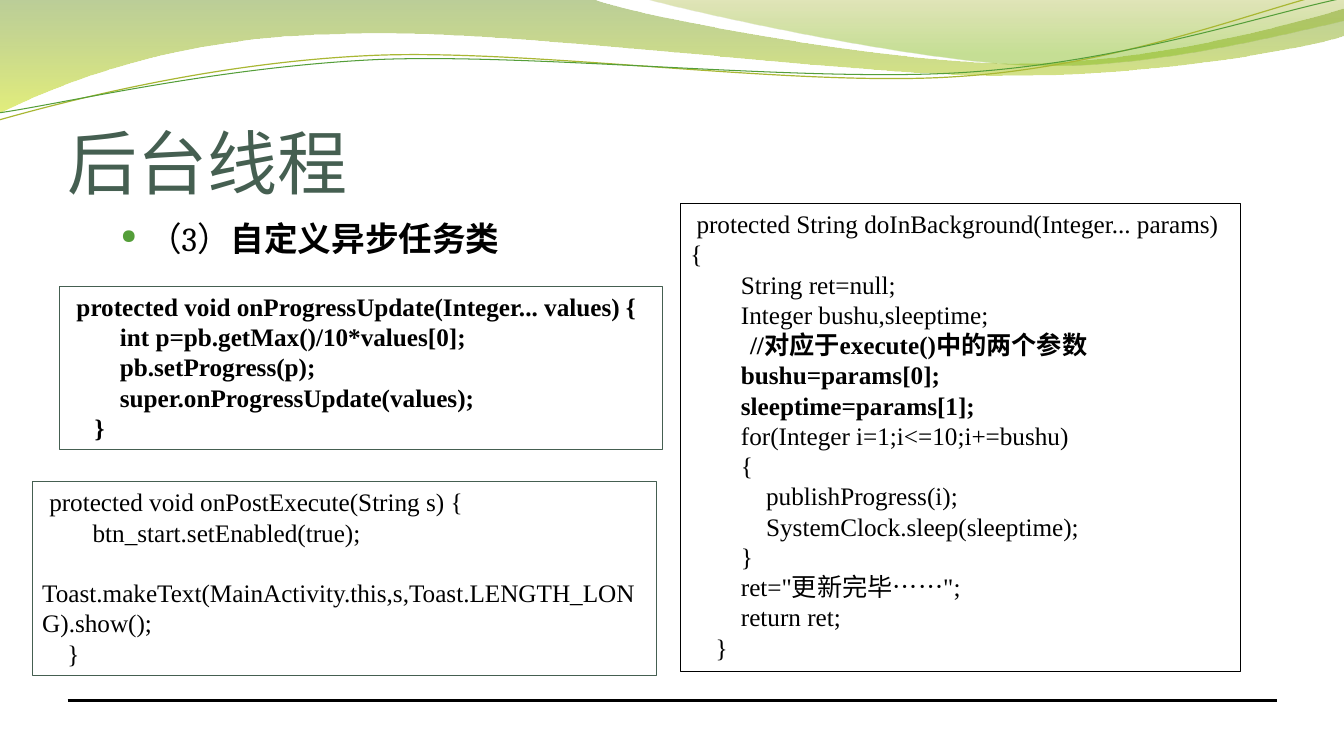
from dataclasses import dataclass

from lxml import etree
from pptx import Presentation
from pptx.dml.color import RGBColor
from pptx.enum.shapes import MSO_CONNECTOR, MSO_SHAPE
from pptx.enum.text import MSO_ANCHOR, PP_ALIGN
from pptx.oxml.ns import qn
from pptx.util import Inches, Pt

RECTANGLE = MSO_SHAPE.RECTANGLE
STRAIGHT = MSO_CONNECTOR.STRAIGHT
TOP, BOTTOM = MSO_ANCHOR.TOP, MSO_ANCHOR.BOTTOM
LEFT = PP_ALIGN.LEFT


@dataclass(frozen=True)
class Theme:
    ink: str = "000000"
    heading: str = "455F51"
    accent: str = "549E39"
    olive: str = "A9B733"
    # Gradient stops: position, colour, opacity in percent
    wide_wave: tuple = ((0, "69921C", 45), (1, "CCE10F", 55))
    narrow_wave: tuple = ((0, "9BAA1A", 30), (0.8, "81BA16", 45))
    title_font: str = "Quicksand"
    body_font: str = "Cambria"
    code_font: str = "Times New Roman"
    title_size: float = 50
    body_size: float = 24
    code_size: float = 18
    code_pitch: float = 21.6


# Outlines: a pair is a corner, six numbers are a cubic curve
WIDE_WAVE = [(0, 0), (5.87, -0.01),
             (6.34, 0.17, 8.84, 0.63, 10.11, 0.63),
             (11.37, 0.63, 12.77, 0.26, 13.33, 0.09), (13.34, 0.36),
             (13.11, 0.44, 11.59, 0.76, 9.94, 0.75),
             (8.29, 0.75, 5.09, 0.28, 3.43, 0.34),
             (1.72, 0.36, 0.61, 0.83, -0.02, 1.13), (0, 0)]
NARROW_WAVE = [(6.38, -0.01),
               (6.79, 0.11, 9.09, 0.62, 10.25, 0.65),
               (11.4, 0.69, 12.82, 0.32, 13.33, 0.21), (13.33, 0), (6.38, -0.01)]
OLIVE_STRAND = [(-0.01, 1.19),
                (0.63, 1.01, 2.1, 0.62, 3.69, 0.55),
                (5.27, 0.48, 7.89, 0.87, 9.49, 0.76),
                (11.1, 0.66, 12.51, 0.08, 13.3, -0.1)]
GREEN_STRAND = [(-0.01, 1.12),
                (0.62, 1.03, 2.18, 0.66, 3.77, 0.59),
                (5.37, 0.53, 7.96, 0.82, 9.55, 0.72),
                (11.14, 0.62, 12.55, 0.14, 13.33, -0.02)]

# Code lines: first-line indent in inches, text, bold, blank lines before
BACKGROUND_CODE = [
    (0.06, "protected String doInBackground(Integer... params) {", False, 0),
    (0.5, "String ret=null;", False, 0),
    (0.5, "Integer bushu,sleeptime;", False, 0),
    (0.59, "//对应于execute()中的两个参数", True, 0),
    (0.5, "bushu=params[0];", True, 0),
    (0.5, "sleeptime=params[1];", True, 0),
    (0.5, "for(Integer i=1;i<=10;i+=bushu)", False, 0),
    (0.5, "{", False, 0),
    (0.75, "publishProgress(i);", False, 0),
    (0.75, "SystemClock.sleep(sleeptime);", False, 0),
    (0.5, "}", False, 0),
    (0.5, 'ret="更新完毕……";', False, 0),
    (0.5, "return ret;", False, 0),
    (0.25, "}", False, 0),
]
PROGRESS_CODE = [
    (0.07, "protected void onProgressUpdate(Integer... values) {", True, 0),
    (0.5, "int p=pb.getMax()/10*values[0];", True, 0),
    (0.5, "pb.setProgress(p);", True, 0),
    (0.5, "super.onProgressUpdate(values);", True, 0),
    (0.25, "}", True, 0),
]
POST_CODE = [
    (0.07, "protected void onPostExecute(String s) {", False, 0),
    (0.5, "btn_start.setEnabled(true);", False, 0),
    (0, "Toast.makeText(MainActivity.this,s,Toast.LENGTH_LONG).show();", False, 1),
    (0.25, "}", False, 0),
]


def set_all(target, values):
    for name, value in values.items():
        setattr(target, name, value)


class SlideBuilder:
    def __init__(self, slide, theme):
        self.shapes = slide.shapes
        self.theme = theme

    def stroke(self, line, color, width):
        line.color.rgb = RGBColor.from_string(color)
        line.width = Pt(width)

    def freeform(self, outline, close):
        """Build straight segments, then bend those that have control points."""
        ends = [(Inches(segment[-2]), Inches(segment[-1])) for segment in outline]
        builder = self.shapes.build_freeform(*ends[0])
        builder.add_line_segments(ends[1:], close=close)
        shape = builder.convert_to_shape()
        shape.shadow.inherit = False
        segments = list(shape.element.spPr.iter(qn("a:lnTo")))
        for element, numbers in zip(segments, outline[1:]):
            if len(numbers) == 2:
                continue
            element.tag = qn("a:cubicBezTo")
            controls = zip(numbers[0:4:2], numbers[1:4:2])
            for index, (x, y) in enumerate(controls):
                point = etree.Element(qn("a:pt"), x=str(Inches(x) - shape.left),
                                      y=str(Inches(y) - shape.top))
                element.insert(index, point)
        return shape

    def wave(self, outline, stops):
        shape = self.freeform(outline, True)
        shape.line.fill.background()
        shape.fill.gradient()
        shape.fill.gradient_angle = 270
        for stop, (position, color, _) in zip(shape.fill.gradient_stops, stops):
            stop.position = position
            stop.color.rgb = RGBColor.from_string(color)
        colors = shape.element.spPr.iter(qn("a:srgbClr"))
        for element, (_, _, opacity) in zip(colors, stops):
            etree.SubElement(element, qn("a:alpha"), val=str(opacity * 1000))

    def strand(self, outline, color, width):
        shape = self.freeform(outline, False)
        shape.fill.background()
        self.stroke(shape.line, color, width)

    def rule(self, left, right, y):
        connector = self.shapes.add_connector(
            STRAIGHT, Inches(left), Inches(y), Inches(right), Inches(y))
        self.stroke(connector.line, self.theme.ink, 2.25)
        etree.SubElement(connector.element.spPr, qn("a:effectLst"))

    def run(self, paragraph, text, font, size, color, bold=False):
        run = paragraph.add_run()
        run.text = text
        set_all(run.font, {"name": font, "size": Pt(size), "bold": bold})
        run.font.color.rgb = RGBColor.from_string(color)

    def text_box(self, box, frame_format):
        frame = self.shapes.add_textbox(*map(Inches, box)).text_frame
        set_all(frame, {"word_wrap": True, **frame_format})
        return frame.paragraphs[0]

    def title(self, text, box):
        paragraph = self.text_box(box, {"vertical_anchor": BOTTOM, "margin_left": 0,
                                        "margin_right": 0, "margin_bottom": 0})
        self.run(paragraph, text, self.theme.title_font, self.theme.title_size,
                 self.theme.heading)

    def bullet(self, runs, box):
        theme = self.theme
        paragraph = self.text_box(box, {"vertical_anchor": TOP})
        paragraph.space_before = Pt(theme.body_size * 0.2)
        for text, bold in runs:
            self.run(paragraph, text, theme.body_font, theme.body_size, theme.ink, bold)
        properties = paragraph._p.get_or_add_pPr()
        properties.set("marL", str(Inches(0.7)))
        properties.set("indent", str(Inches(-0.27)))
        color = etree.SubElement(properties, qn("a:buClr"))
        etree.SubElement(color, qn("a:srgbClr"), val=theme.accent)
        etree.SubElement(properties, qn("a:buSzPct"), val="60000")
        etree.SubElement(properties, qn("a:buChar"), char="●")

    def code_box(self, lines, box, border):
        theme = self.theme
        shape = self.shapes.add_shape(RECTANGLE, *map(Inches, box))
        shape.shadow.inherit = False
        shape.fill.background()
        self.stroke(shape.line, border, 0.75)
        frame = shape.text_frame
        set_all(frame, {"word_wrap": True, "vertical_anchor": TOP})
        for index, (indent, text, bold, blank_lines) in enumerate(lines):
            paragraph = frame.add_paragraph() if index else frame.paragraphs[0]
            set_all(paragraph, {"alignment": LEFT, "line_spacing": Pt(theme.code_pitch),
                                "space_before": Pt(blank_lines * theme.code_pitch)})
            paragraph._p.get_or_add_pPr().set("indent", str(Inches(indent)))
            self.run(paragraph, text, theme.code_font, theme.code_size, theme.ink, bold)


def main():
    presentation = Presentation()
    set_all(presentation, {"slide_width": Inches(13.33), "slide_height": Inches(7.5)})
    theme = Theme()
    builder = SlideBuilder(presentation.slides.add_slide(presentation.slide_layouts[6]), theme)
    builder.wave(WIDE_WAVE, theme.wide_wave)
    builder.wave(NARROW_WAVE, theme.narrow_wave)
    builder.strand(OLIVE_STRAND, theme.olive, 0.85)
    builder.strand(GREEN_STRAND, theme.accent, 0.75)
    builder.rule(0.67, 12.67, 6.95)
    builder.bullet([("（3）", False), ("自定义异步任务类", True)], (0.67, 2.11, 12, 0.73))
    builder.title("后台线程", (0.67, 0.77, 12, 1.25))
    builder.code_box(BACKGROUND_CODE, (6.75, 2.02, 5.55, 4.64), theme.ink)
    builder.code_box(PROGRESS_CODE, (0.59, 2.84, 5.98, 1.62), theme.heading)
    builder.code_box(POST_CODE, (0.32, 4.78, 6.19, 1.92), theme.heading)
    presentation.save("out.pptx")


if __name__ == "__main__":
    main()
